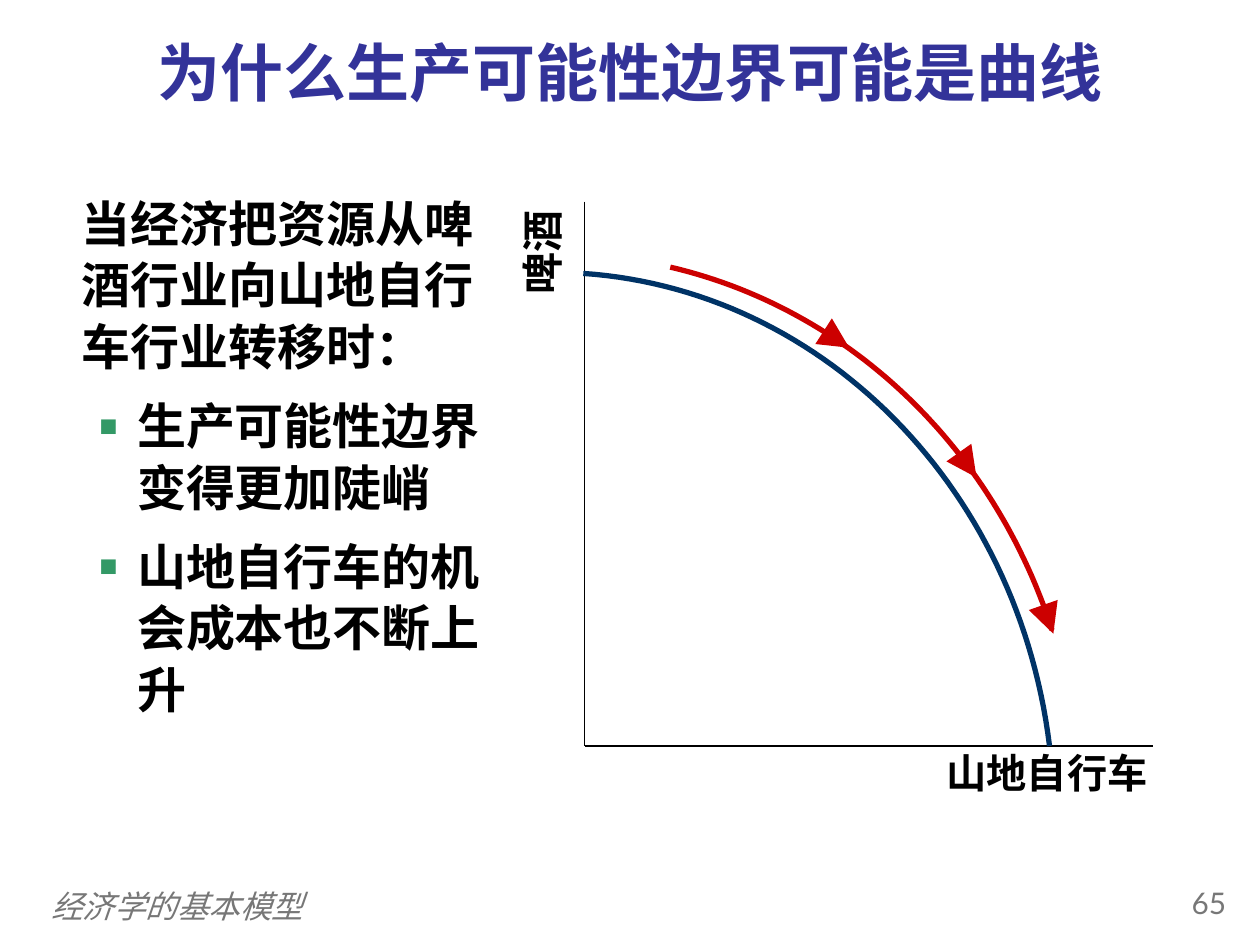
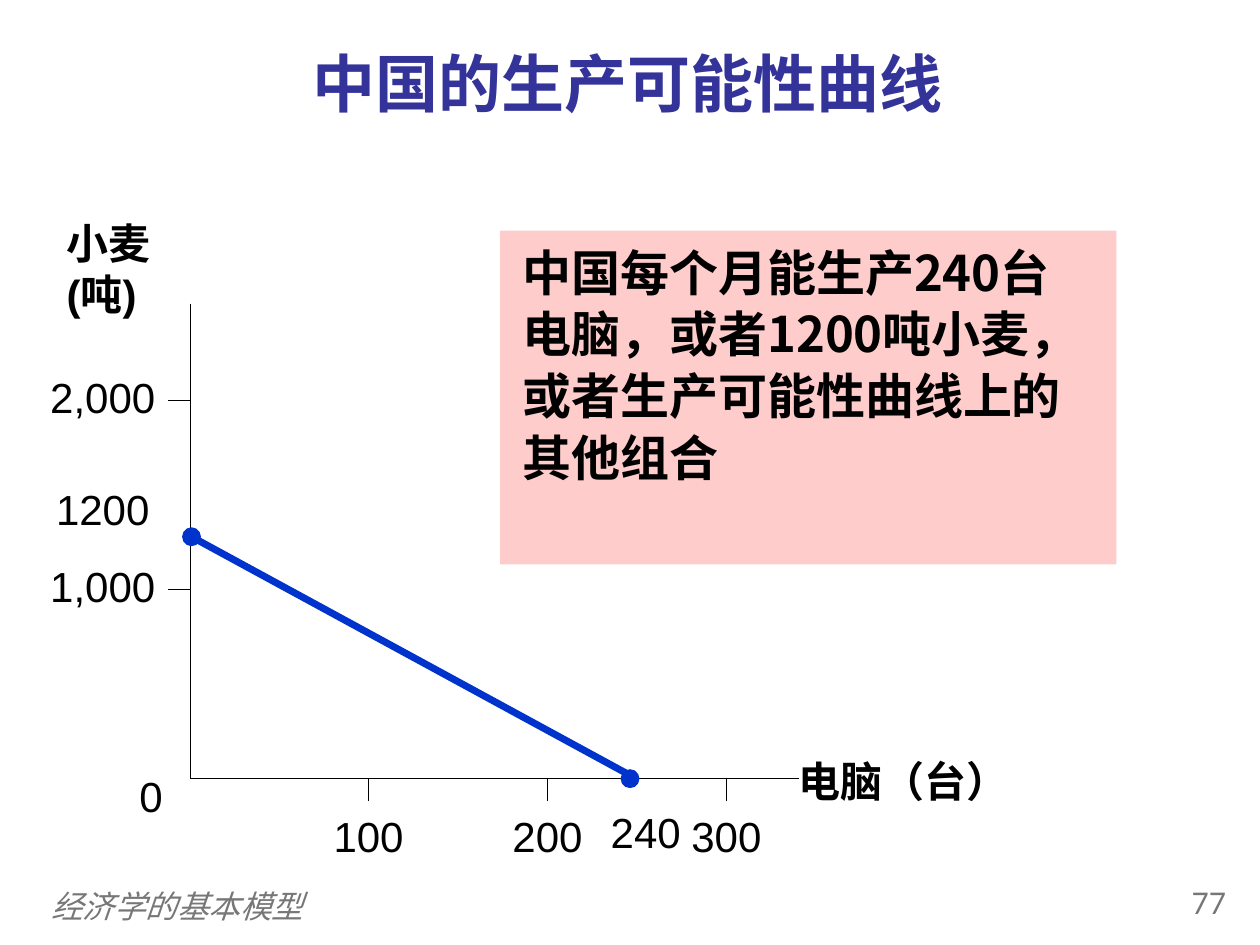
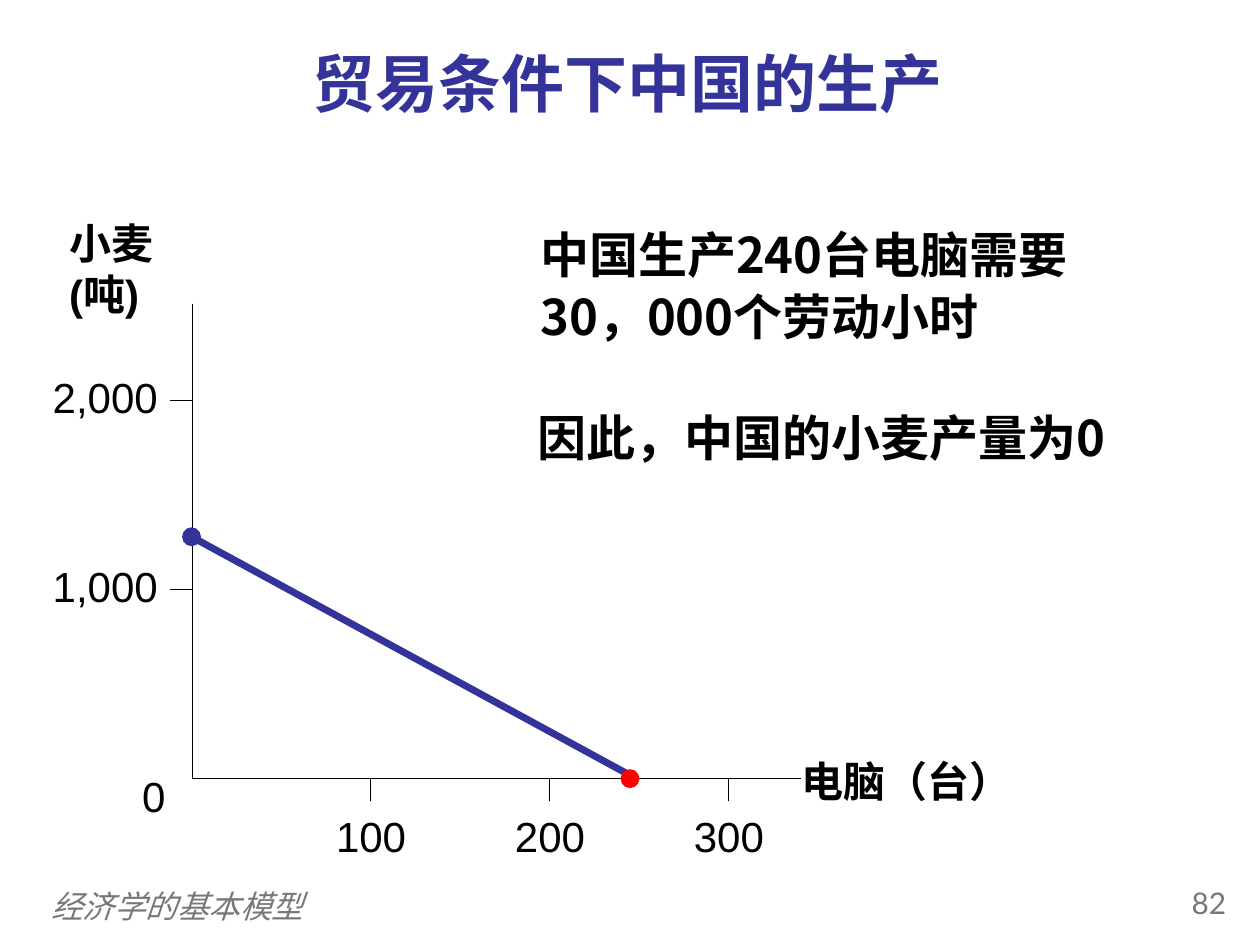
from dataclasses import dataclass, replace
from typing import NamedTuple

from lxml import etree
from pptx import Presentation
from pptx.dml.color import RGBColor
from pptx.enum.shapes import MSO_CONNECTOR, MSO_SHAPE
from pptx.enum.text import MSO_ANCHOR, PP_ALIGN
from pptx.oxml.ns import qn
from pptx.shapes.connector import Connector
from pptx.slide import Slide
from pptx.util import Inches, Pt

STRAIGHT = MSO_CONNECTOR.STRAIGHT
ELLIPSE, RECTANGLE = MSO_SHAPE.OVAL, MSO_SHAPE.RECTANGLE
LEFT, CENTER, RIGHT = PP_ALIGN.LEFT, PP_ALIGN.CENTER, PP_ALIGN.RIGHT
TOP, MIDDLE = MSO_ANCHOR.TOP, MSO_ANCHOR.MIDDLE


# Shared look
@dataclass(frozen=True)
class Theme:
    black: str = "000000"
    title: str = "333399"
    footer: str = "777777"
    bullet: str = "339966"
    frontier: str = "003366"
    movement: str = "CC0000"
    output: str = "0033CC"
    chosen: str = "FF0000"
    note: str = "FFCCCC"
    chinese_font: str = "Noto Sans CJK SC"
    title_size: float = 36
    body_size: float = 28
    label_size: float = 24
    axis_size: float = 23
    footer_size: float = 18
    number_size: float = 17


THEME = Theme()


@dataclass(frozen=True)
class TextStyle:
    size: float
    font: str = "Arial"
    color: str = THEME.black
    bold: bool = False
    italic: bool = False
    align: PP_ALIGN = LEFT
    anchor: MSO_ANCHOR = TOP
    leading: float = 1.2


TITLE = TextStyle(THEME.title_size, "TeX Gyre Pagella", THEME.title, bold=True,
                  align=CENTER, anchor=MIDDLE)
BODY = TextStyle(THEME.body_size, THEME.chinese_font, bold=True, leading=1.26)
AXIS_NAME = TextStyle(THEME.label_size, bold=True)
AMOUNT = TextStyle(THEME.label_size)
CENTERED_AMOUNT = replace(AMOUNT, align=CENTER)
FOOTER = TextStyle(THEME.footer_size, color=THEME.footer, italic=True, anchor=MIDDLE)
PAGE_NUMBER = TextStyle(THEME.number_size, "Lato", THEME.footer, align=RIGHT)


class Box(NamedTuple):
    left: float
    top: float
    width: float
    height: float


class Point(NamedTuple):
    x: float
    y: float


class Line(NamedTuple):
    text: str
    bulleted: bool = False


class Curve(NamedTuple):
    start: Point
    control_1: Point
    control_2: Point
    end: Point

    def at(self, t: float) -> Point:
        weights = ((1 - t) ** 3, 3 * t * (1 - t) ** 2, 3 * t ** 2 * (1 - t), t ** 3)
        return Point(sum(w * p.x for w, p in zip(weights, self)),
                     sum(w * p.y for w, p in zip(weights, self)))


TITLE_BOX = Box(0.38, 0.28, 9.2, 0.74)
FOOTER_BOX = Box(0.31, 6.99, 8.02, 0.4)
NUMBER_BOX = Box(9.08, 6.97, 0.75, 0.4)


# Drawing helpers
def color(value: str) -> RGBColor:
    return RGBColor.from_string(value)


def inches(values: tuple) -> list:
    return [Inches(value) for value in values]


def add_bullet(paragraph) -> None:
    properties = paragraph._p.get_or_add_pPr()
    properties.set("marL", str(Inches(0.44)))
    properties.set("indent", str(Inches(-0.31)))
    tint = etree.SubElement(properties, qn("a:buClr"))
    etree.SubElement(tint, qn("a:srgbClr"), val=THEME.bullet)
    etree.SubElement(properties, qn("a:buSzPct"), val="120000")
    etree.SubElement(properties, qn("a:buFont"), typeface="Arial")
    etree.SubElement(properties, qn("a:buChar"), char="▪")


def add_lines(slide: Slide, box: Box, lines: list[Line], style: TextStyle,
              rotation: float = 0) -> None:
    holder = slide.shapes.add_textbox(*inches(box))
    holder.rotation = rotation
    frame = holder.text_frame
    frame.word_wrap = True
    frame.vertical_anchor = style.anchor
    for index, line in enumerate(lines):
        paragraph = frame.add_paragraph() if index else frame.paragraphs[0]
        if line.bulleted:
            add_bullet(paragraph)
        paragraph.alignment = style.align
        paragraph.line_spacing = Pt(style.size * style.leading)
        if index:
            paragraph.space_before = Pt(style.size * 0.35)
        run = paragraph.add_run()
        run.text = line.text
        run.font.size = Pt(style.size)
        run.font.name = style.font
        run.font.bold = style.bold
        run.font.italic = style.italic
        run.font.color.rgb = color(style.color)
        latin = run._r.get_or_add_rPr().find(qn("a:latin"))
        chinese = etree.Element(qn("a:ea"), typeface=THEME.chinese_font)
        latin.addnext(chinese)


def add_text(slide: Slide, box: Box, text: str, style: TextStyle,
             rotation: float = 0) -> None:
    add_lines(slide, box, [Line(text)], style, rotation)


def add_line(slide: Slide, start: Point, end: Point, width: float = 0.75,
             stroke: str = THEME.black) -> Connector:
    line = slide.shapes.add_connector(STRAIGHT, *inches(start + end))
    line.line.width = Pt(width)
    line.line.color.rgb = color(stroke)
    etree.SubElement(line._element.spPr, qn("a:effectLst"))
    return line


def add_arrow(slide: Slide, start: Point, end: Point) -> None:
    arrow = add_line(slide, start, end, 3.5, THEME.movement)
    etree.SubElement(arrow.line._get_or_add_ln(), qn("a:tailEnd"),
                     type="triangle", w="lg", len="lg")


def add_filled(slide: Slide, kind: MSO_SHAPE, box: Box, fill: str) -> None:
    shape = slide.shapes.add_shape(kind, *inches(box))
    shape.shadow.inherit = False
    shape.fill.solid()
    shape.fill.fore_color.rgb = color(fill)
    shape.line.fill.background()


def add_dot(slide: Slide, center: Point, fill: str) -> None:
    size = 0.15
    add_filled(slide, ELLIPSE,
               Box(center.x - size / 2, center.y - size / 2, size, size), fill)


def add_curve(slide: Slide, curve: Curve, stroke: str, steps: int = 60) -> None:
    points = [inches(curve.at(step / steps)) for step in range(steps + 1)]
    builder = slide.shapes.build_freeform(*points[0], scale=1.0)
    builder.add_line_segments(points[1:], close=False)
    outline = builder.convert_to_shape()
    outline.shadow.inherit = False
    outline.fill.background()
    outline.line.width = Pt(3)
    outline.line.color.rgb = color(stroke)


def new_slide(deck, title: str, number: int, title_box: Box = TITLE_BOX) -> Slide:
    slide = deck.slides.add_slide(deck.slide_layouts[6])
    add_text(slide, FOOTER_BOX, "经济学的基本模型", FOOTER)
    add_text(slide, NUMBER_BOX, str(number), PAGE_NUMBER)
    add_text(slide, title_box, title, TITLE)
    return slide


# Axes of wheat against computers
def add_trade_axes(slide: Slide, axis_x: float, wheat_name: str) -> None:
    origin = Point(axis_x, 6.18)
    add_text(slide, Box(axis_x + 4.73, 5.95, 2.1, 0.5), "电脑（台）", AXIS_NAME)
    add_text(slide, Box(axis_x - 1.08, 1.68, 1.22, 0.9), wheat_name, AXIS_NAME)
    add_line(slide, Point(axis_x, 2.41), origin)
    add_line(slide, origin, Point(axis_x + 4.83, origin.y))
    add_text(slide, Box(axis_x - 0.68, 6.07, 0.74, 0.5), "0", CENTERED_AMOUNT)
    for step, wheat in enumerate(("2,000", "1,000")):
        y = 3.18 + 1.5 * step
        add_line(slide, Point(axis_x, y), Point(axis_x - 0.18, y), 0.25)
        add_text(slide, Box(axis_x - 1.21, y - 0.28, 1.05, 0.5), wheat, AMOUNT)
    for step, computers in enumerate(("100", "200", "300")):
        x = axis_x + 1.41 + 1.42 * step
        add_line(slide, Point(x, origin.y + 0.18), Point(x, origin.y), 0.25)
        add_text(slide, Box(x - 0.64, 6.38, 1.29, 0.5), computers, CENTERED_AMOUNT)


ALL_WHEAT, ALL_COMPUTERS = Point(1.52, 4.26), Point(5.05, 6.18)


def add_possibilities(slide: Slide, stroke: str, computers_dot: str) -> None:
    add_line(slide, ALL_WHEAT, ALL_COMPUTERS, 4, stroke)
    add_dot(slide, ALL_WHEAT, stroke)
    add_dot(slide, Point(5.0, 6.18), computers_dot)


# Slides
def add_curved_frontier(deck) -> None:
    slide = new_slide(deck, "为什么生产可能性边界可能是曲线", 65, Box(0.5, 0.19, 9, 0.76))
    origin = Point(4.64, 5.92)
    add_line(slide, Point(origin.x, 1.6), origin)
    add_line(slide, origin, Point(9.15, origin.y))
    add_text(slide, Box(7.35, 5.89, 1.86, 0.9), "山地自行车",
             replace(AXIS_NAME, size=THEME.axis_size, align=RIGHT))
    add_text(slide, Box(3.51, 2.11, 1.58, 0.5), "啤酒",
             replace(AXIS_NAME, align=RIGHT), rotation=270)
    frontier = Curve(Point(4.63, 2.17), Point(6.53, 2.3), Point(8.08, 3.87),
                     Point(8.33, 5.92))
    movement = Curve(Point(5.32, 2.12), Point(6.73, 2.45), Point(7.88, 3.54),
                     Point(8.35, 5))
    add_curve(slide, frontier, THEME.frontier)
    add_curve(slide, movement, THEME.movement)
    for start, end in ((Point(6.57, 2.65), Point(6.74, 2.76)),
                       (Point(7.63, 3.62), Point(7.75, 3.79)),
                       (Point(8.29, 4.83), Point(8.36, 5.03))):
        add_arrow(slide, start, end)
    add_lines(slide, Box(0.55, 1.46, 3.47, 4.72), [
        Line("当经济把资源从啤酒行业向山地自行车行业转移时："),
        Line("生产可能性边界变得更加陡峭", bulleted=True),
        Line("山地自行车的机会成本也不断上升", bulleted=True),
    ], BODY)


def add_china_possibilities(deck) -> None:
    slide = new_slide(deck, "中国的生产可能性曲线", 77)
    add_trade_axes(slide, 1.51, "小麦 (吨)")
    add_possibilities(slide, THEME.output, THEME.output)
    add_filled(slide, RECTANGLE, Box(3.97, 1.83, 4.89, 2.65), THEME.note)
    add_text(slide, Box(4.05, 1.85, 4.72, 2.05),
             "中国每个月能生产240台电脑，或者1200吨小麦，或者生产可能性曲线上的其他组合", BODY)
    add_text(slide, Box(4.48, 6.35, 1.29, 0.5), "240", CENTERED_AMOUNT)
    add_text(slide, Box(0.17, 3.79, 1.29, 0.5), "1200", CENTERED_AMOUNT)


def add_china_trade(deck) -> None:
    slide = new_slide(deck, "贸易条件下中国的生产", 82)
    add_trade_axes(slide, 1.53, "小麦(吨)")
    add_possibilities(slide, THEME.title, THEME.chosen)
    add_text(slide, Box(4.19, 1.71, 5.01, 1.08), "中国生产240台电脑需要30，000个劳动小时", BODY)
    add_text(slide, Box(4.17, 3.16, 5.01, 0.57), "因此，中国的小麦产量为0", BODY)


def main() -> None:
    deck = Presentation()
    deck.slide_width, deck.slide_height = Inches(10), Inches(7.5)
    add_curved_frontier(deck)
    add_china_possibilities(deck)
    add_china_trade(deck)
    deck.save("out.pptx")


if __name__ == "__main__":
    main()
